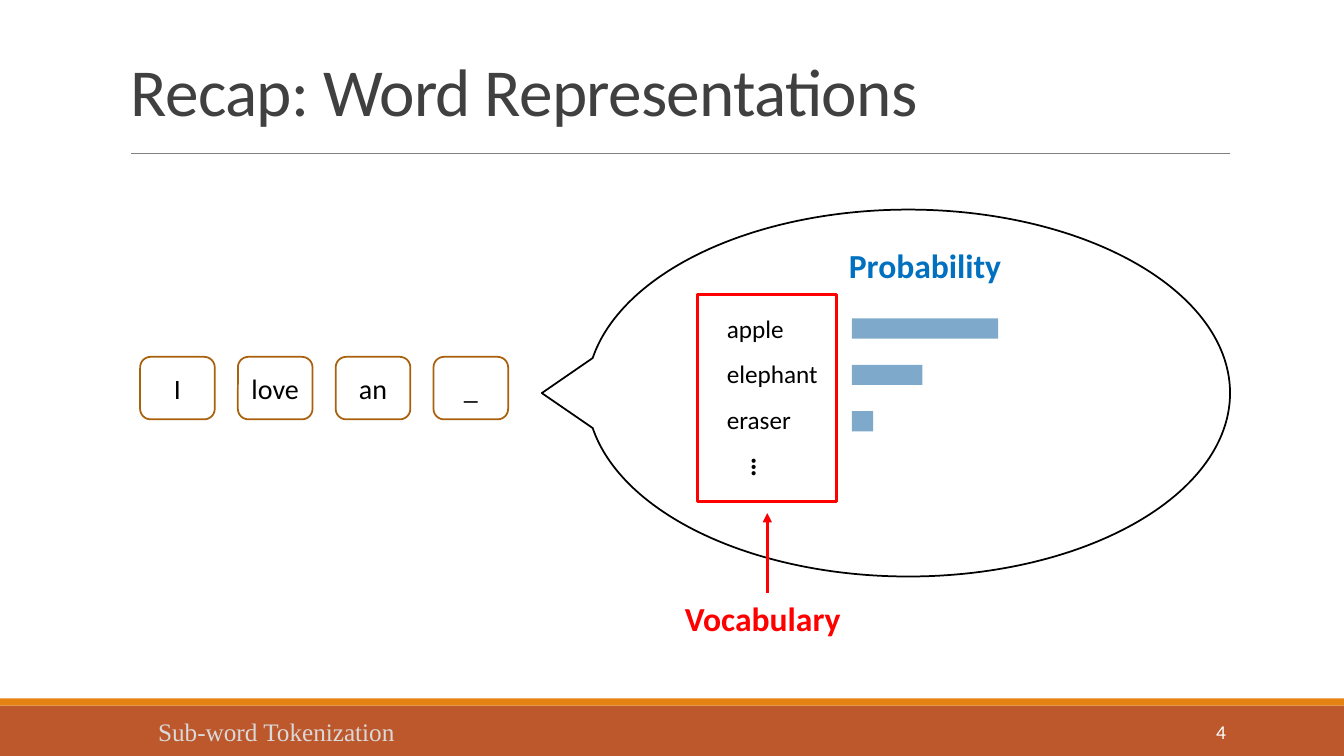
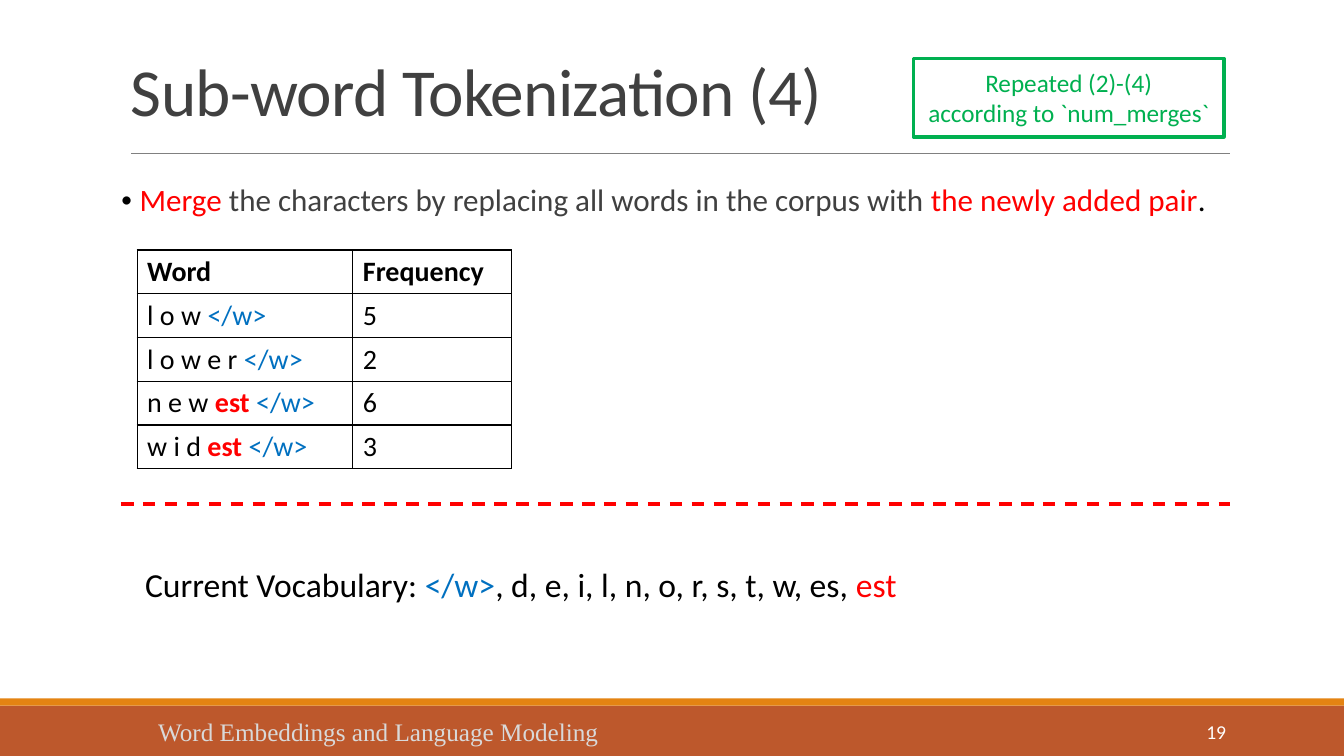
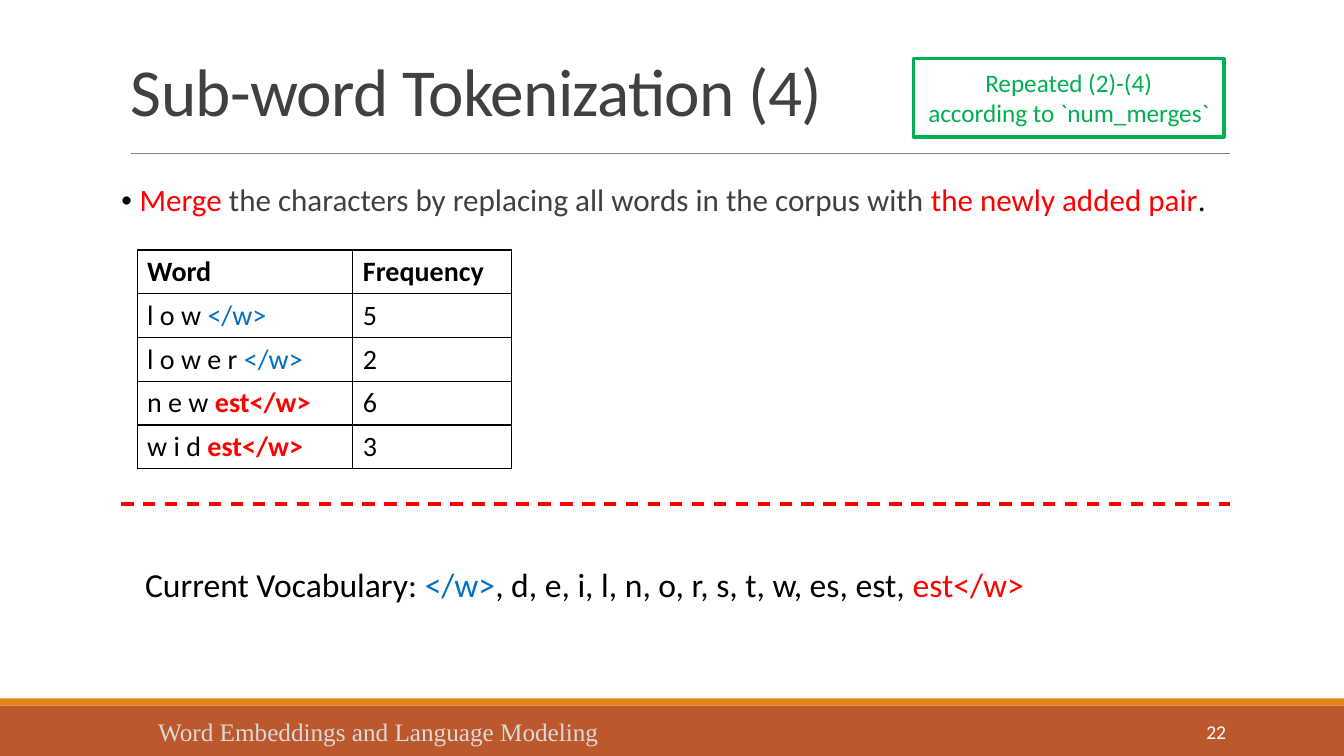
"""Build three slides on word representations and sub-word tokenization."""

from dataclasses import dataclass
from typing import Optional

from lxml.etree import SubElement
from pptx import Presentation
from pptx.dml.color import RGBColor
from pptx.enum.dml import MSO_LINE
from pptx.enum.shapes import MSO_CONNECTOR, MSO_SHAPE
from pptx.enum.text import MSO_ANCHOR, PP_ALIGN
from pptx.oxml.ns import qn
from pptx.shapes.autoshape import Shape
from pptx.shapes.connector import Connector
from pptx.slide import Slide
from pptx.table import _Cell as Cell
from pptx.text.text import TextFrame, _Paragraph as Paragraph
from pptx.util import Emu, Pt

EMU_PER_PX = 9144
SLIDE_WIDTH = 1333
SLIDE_HEIGHT = 750

BLACK = RGBColor(0x00, 0x00, 0x00)
WHITE = RGBColor(0xFF, 0xFF, 0xFF)
DARK_GRAY = RGBColor(0x40, 0x40, 0x40)
RULE_GRAY = RGBColor(0x80, 0x80, 0x80)
FOOTER_GRAY = RGBColor(0xD9, 0xD9, 0xD9)
RUST = RGBColor(0xBD, 0x58, 0x2C)
ORANGE = RGBColor(0xE4, 0x83, 0x12)
BROWN = RGBColor(0xA9, 0x61, 0x0D)
RED = RGBColor(0xFF, 0x00, 0x00)
GREEN = RGBColor(0x00, 0xB0, 0x50)
BLUE = RGBColor(0x00, 0x70, 0xC0)
BAR_BLUE = RGBColor(0x7E, 0xA9, 0xCA)

BODY_FONT = "Calibri"
FOOTER_FONT = "Times New Roman"


@dataclass(frozen=True)
class Box:
    left: int
    top: int
    width: int
    height: int

    def emu(self) -> tuple[Emu, Emu, Emu, Emu]:
        return px(self.left), px(self.top), px(self.width), px(self.height)


@dataclass(frozen=True)
class Span:
    text: str
    color: RGBColor = BLACK
    bold: bool = False


@dataclass(frozen=True)
class Style:
    size: float
    font: str = BODY_FONT
    align: PP_ALIGN = PP_ALIGN.LEFT
    anchor: MSO_ANCHOR = MSO_ANCHOR.TOP


@dataclass(frozen=True)
class Prediction:
    word: str
    bar_width: int


@dataclass(frozen=True)
class MergeStep:
    number: str
    endings: list[Span]
    vocabulary: list[Span]


END_MARK = Span("</w>", BLUE)
TOKENS = ["I", "love", "an", "_"]
PREDICTIONS = [
    Prediction("apple", 145),
    Prediction("elephant", 70),
    Prediction("eraser", 21),
]
MERGE_STEPS = [
    MergeStep(
        "19",
        [Span("est ", RED, True), END_MARK],
        [Span(", d, e, i, l, n, o, r, s, t, w, es, "), Span("est", RED)],
    ),
    MergeStep(
        "22",
        [Span("est</w>", RED, True)],
        [Span(", d, e, i, l, n, o, r, s, t, w, es, est, "), Span("est</w>", RED)],
    ),
]

CENTERED = {"align": PP_ALIGN.CENTER, "anchor": MSO_ANCHOR.MIDDLE}
TITLE_STYLE = Style(48, anchor=MSO_ANCHOR.MIDDLE)
NUMBER_STYLE = Style(14, align=PP_ALIGN.RIGHT, anchor=MSO_ANCHOR.MIDDLE)
FOOTER_STYLE = Style(18, FOOTER_FONT)
TOKEN_STYLE = Style(20, **CENTERED)
NOTE_STYLE = Style(18, **CENTERED)
LABEL_STYLE = Style(24, align=PP_ALIGN.CENTER)
WORD_STYLE = Style(18)
BODY_STYLE = Style(22.2)
VOCABULARY_STYLE = Style(24)
CELL_STYLE = Style(20)


def px(length: int) -> Emu:
    return Emu(length * EMU_PER_PX)


def fill_paragraph(paragraph: Paragraph, spans: list[Span], style: Style) -> None:
    paragraph.alignment = style.align
    for span in spans:
        run = paragraph.add_run()
        run.text = span.text
        run.font.name = style.font
        run.font.size = Pt(style.size)
        run.font.bold = span.bold
        run.font.color.rgb = span.color


def fill_frame(frame: TextFrame, lines: list[list[Span]], style: Style) -> None:
    frame.word_wrap = True
    frame.vertical_anchor = style.anchor
    for index, spans in enumerate(lines):
        paragraph = frame.add_paragraph() if index else frame.paragraphs[0]
        fill_paragraph(paragraph, spans, style)


def add_text(slide: Slide, box: Box, spans: list[Span], style: Style) -> Shape:
    shape = slide.shapes.add_textbox(*box.emu())
    fill_frame(shape.text_frame, [spans], style)
    return shape


def add_shape(
    slide: Slide,
    kind: MSO_SHAPE,
    box: Box,
    fill: Optional[RGBColor] = None,
    line: Optional[RGBColor] = None,
    weight: float = 1.25,
) -> Shape:
    shape = slide.shapes.add_shape(kind, *box.emu())
    shape.shadow.inherit = False
    if fill is None:
        shape.fill.background()
    else:
        shape.fill.solid()
        shape.fill.fore_color.rgb = fill
    if line is None:
        shape.line.fill.background()
    else:
        shape.line.color.rgb = line
        shape.line.width = Pt(weight)
    return shape


def add_line(
    slide: Slide, start: tuple[int, int], end: tuple[int, int], color: RGBColor, weight: float
) -> Connector:
    points = [px(value) for value in (*start, *end)]
    connector = slide.shapes.add_connector(MSO_CONNECTOR.STRAIGHT, *points)
    connector.line.color.rgb = color
    connector.line.width = Pt(weight)
    SubElement(connector._element.spPr, qn("a:effectLst"))
    return connector


def add_frame(slide: Slide, title: str, footer: str, number: str) -> None:
    add_shape(slide, MSO_SHAPE.RECTANGLE, Box(0, 700, SLIDE_WIDTH, 50), RUST)
    add_shape(slide, MSO_SHAPE.RECTANGLE, Box(0, 693, SLIDE_WIDTH, 7), ORANGE)
    add_line(slide, (130, 152), (1220, 152), RULE_GRAY, 0.5)
    heading = add_text(slide, Box(120, 39, 1100, 113), [Span(title, DARK_GRAY)], TITLE_STYLE)
    paragraph = heading.text_frame.paragraphs[0]
    paragraph.line_spacing = 0.85
    for run in paragraph.runs:
        run.font._element.set("spc", "-50")
    add_text(slide, Box(1083, 706, 143, 40), [Span(number, WHITE)], NUMBER_STYLE)
    add_text(slide, Box(147, 706, 695, 40), [Span(footer, FOOTER_GRAY)], FOOTER_STYLE)


def add_bullet(paragraph: Paragraph) -> None:
    properties = paragraph._element.get_or_add_pPr()
    properties.set("marL", str(px(10)))
    properties.set("indent", str(px(-10)))
    color = SubElement(properties, qn("a:buClr"))
    SubElement(color, qn("a:srgbClr"), val=str(BLACK))
    SubElement(properties, qn("a:buSzPct"), val="75000")
    SubElement(properties, qn("a:buFont"), typeface=BODY_FONT)
    SubElement(properties, qn("a:buChar"), char="•")


def style_cell(cell: Cell) -> None:
    properties = cell._tc.get_or_add_tcPr()
    for side in ("L", "R", "T", "B"):
        border = SubElement(properties, qn(f"a:ln{side}"), w=str(Pt(1)))
        fill = SubElement(border, qn("a:solidFill"))
        SubElement(fill, qn("a:srgbClr"), val=str(BLACK))
    cell.fill.background()


def add_frequency_table(slide: Slide, endings: list[Span]) -> None:
    rows = [
        ([Span("Word", bold=True)], [Span("Frequency", bold=True)]),
        ([Span("l o w "), END_MARK], [Span("5")]),
        ([Span("l o w e r "), END_MARK], [Span("2")]),
        ([Span("n e w "), *endings], [Span("6")]),
        ([Span("w i d "), *endings], [Span("3")]),
    ]
    box = Box(136, 248, 371, 215)
    table = slide.shapes.add_table(len(rows), 2, *box.emu()).table
    table.first_row = False
    table.horz_banding = False
    for column, width in zip(table.columns, (214, 157)):
        column.width = px(width)
    for row_index, row in enumerate(rows):
        for column_index, spans in enumerate(row):
            cell = table.cell(row_index, column_index)
            style_cell(cell)
            fill_paragraph(cell.text_frame.paragraphs[0], spans, CELL_STYLE)


def build_recap(slide: Slide) -> None:
    add_frame(slide, "Recap: Word Representations", "Sub-word Tokenization", "4")
    for index, token in enumerate(TOKENS):
        box = Box(139 + 97 * index, 354, 74, 62)
        shape = add_shape(slide, MSO_SHAPE.ROUNDED_RECTANGLE, box, line=BROWN)
        fill_frame(shape.text_frame, [[Span(token)]], TOKEN_STYLE)
    callout = add_shape(slide, MSO_SHAPE.OVAL_CALLOUT, Box(582, 208, 638, 364), line=BLACK)
    callout.adjustments[0] = -0.57
    callout.adjustments[1] = 0
    for index, prediction in enumerate(PREDICTIONS):
        bar = Box(845, 316 + 46 * index, prediction.bar_width, 20)
        add_shape(slide, MSO_SHAPE.RECTANGLE, bar, BAR_BLUE)
        add_text(slide, Box(711, 306 + 45 * index, 119, 40), [Span(prediction.word)], WORD_STYLE)
    ellipsis = add_text(slide, Box(730, 449, 53, 44), [Span("…", bold=True)], CELL_STYLE)
    ellipsis.rotation = 90
    add_shape(slide, MSO_SHAPE.RECTANGLE, Box(692, 292, 138, 206), line=RED, weight=2.25)
    add_text(slide, Box(654, 588, 205, 50), [Span("Vocabulary", RED, True)], LABEL_STYLE)
    add_text(slide, Box(815, 238, 205, 50), [Span("Probability", BLUE, True)], LABEL_STYLE)
    arrow = add_line(slide, (761, 588), (761, 509), RED, 2.25)
    SubElement(arrow._element.spPr.find(qn("a:ln")), qn("a:tailEnd"), type="triangle")


def build_merge(slide: Slide, step: MergeStep) -> None:
    add_frame(slide, "Sub-word Tokenization (4)", "Word Embeddings and Language Modeling", step.number)
    body = slide.shapes.add_textbox(*Box(120, 156, 1100, 113).emu())
    frame = body.text_frame
    frame.margin_left = frame.margin_right = 0
    paragraph = frame.paragraphs[0]
    paragraph.line_spacing = 1.5
    add_bullet(paragraph)
    sentence = [
        Span(" ", DARK_GRAY),
        Span("Merge", RED),
        Span(" the characters by replacing all words in the corpus with ", DARK_GRAY),
        Span("the newly added pair", RED),
        Span("."),
    ]
    fill_frame(frame, [sentence], BODY_STYLE)
    add_frequency_table(slide, step.endings)
    divider = add_line(slide, (120, 500), (1220, 500), RED, 2.25)
    divider.line.dash_style = MSO_LINE.DASH
    vocabulary = [Span("Current Vocabulary: "), END_MARK, *step.vocabulary]
    add_text(slide, Box(134, 555, 902, 50), vocabulary, VOCABULARY_STYLE)
    note = add_shape(slide, MSO_SHAPE.RECTANGLE, Box(906, 58, 308, 78), line=GREEN, weight=2.25)
    lines = ["Repeated (2)-(4)", "according to `num_merges`"]
    fill_frame(note.text_frame, [[Span(line, GREEN)] for line in lines], NOTE_STYLE)


def main() -> None:
    presentation = Presentation()
    presentation.slide_width = px(SLIDE_WIDTH)
    presentation.slide_height = px(SLIDE_HEIGHT)
    blank = presentation.slide_layouts[6]
    build_recap(presentation.slides.add_slide(blank))
    for step in MERGE_STEPS:
        build_merge(presentation.slides.add_slide(blank), step)
    presentation.save("out.pptx")


if __name__ == "__main__":
    main()
